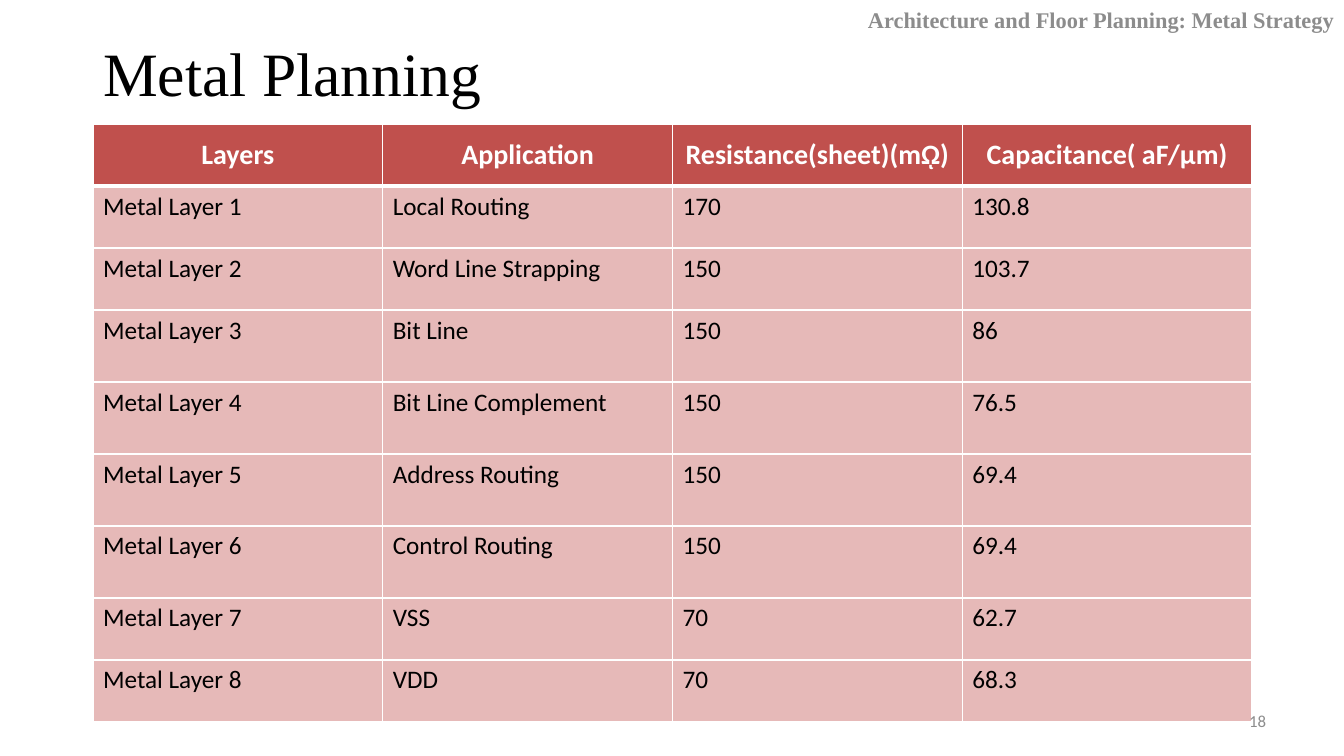
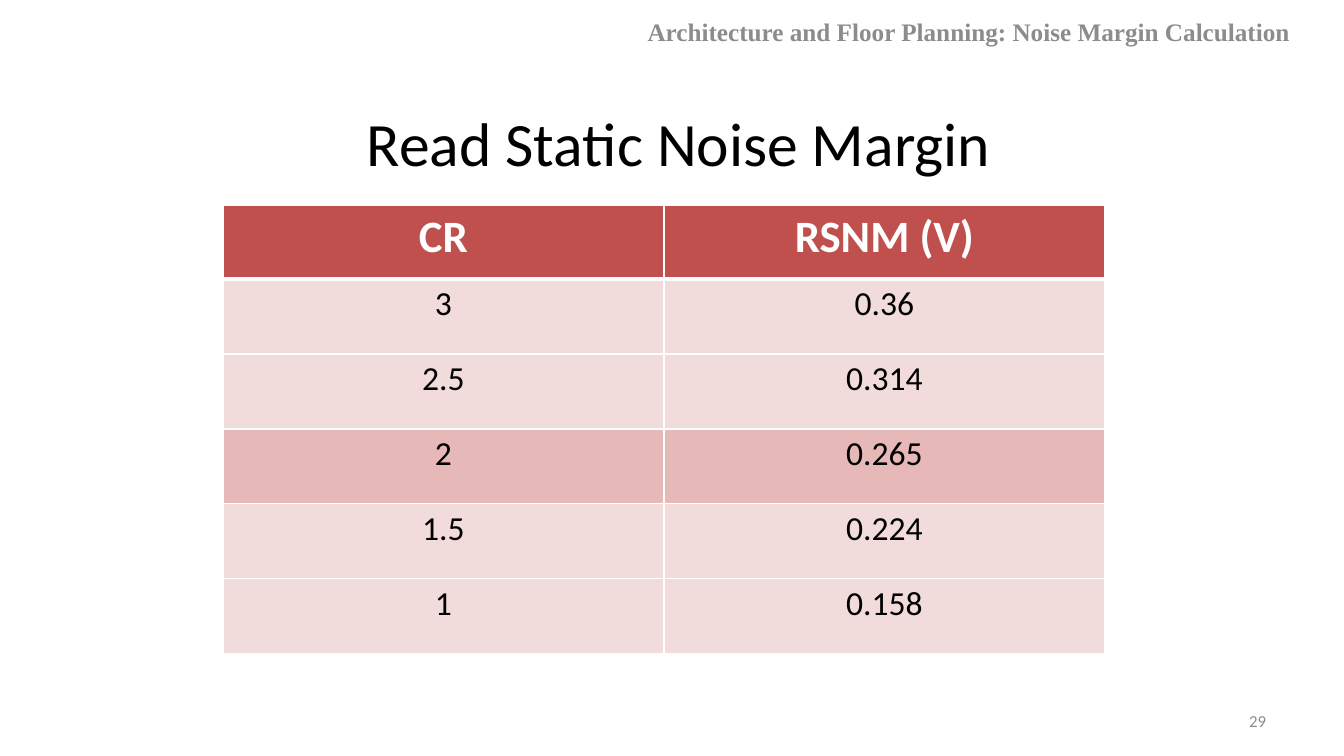
import pptx
import pptx.dml.color
import pptx.enum.text
import pptx.oxml
import pptx.oxml.ns
import pptx.util

RGBColor = pptx.dml.color.RGBColor
Align = pptx.enum.text.PP_ALIGN
Anchor = pptx.enum.text.MSO_ANCHOR

BLACK = RGBColor(0x00, 0x00, 0x00)
WHITE = RGBColor(0xFF, 0xFF, 0xFF)
GREY = RGBColor(0x8C, 0x8C, 0x8C)
RED = RGBColor(0xC0, 0x50, 0x4D)
ROSE = RGBColor(0xE6, 0xB9, 0xB8)
PALE_ROSE = RGBColor(0xF2, 0xDC, 0xDB)

SANS = "Calibri"
SERIF = "Times New Roman"
SLIDE_WIDTH, SLIDE_HEIGHT = 1344, 756
EMU_PER_PX = 12192000 / SLIDE_WIDTH
TITLE_ONLY = 5


def px(length):
    return pptx.util.Emu(round(length * EMU_PER_PX))


class Deck:
    def __init__(self):
        self.presentation = pptx.Presentation()
        self.presentation.slide_width = px(SLIDE_WIDTH)
        self.presentation.slide_height = px(SLIDE_HEIGHT)
        self.slide = None

    def add_slide(self):
        layout = self.presentation.slide_layouts[TITLE_ONLY]
        self.slide = self.presentation.slides.add_slide(layout)

    def set_text(self, frame, text, size, color, align, name=SANS, bold=False):
        paragraph = frame.paragraphs[0]
        paragraph.text = text
        paragraph.alignment = align
        style = {"size": pptx.util.Pt(size), "name": name, "bold": bold}
        for key, value in style.items():
            setattr(paragraph.font, key, value)
        paragraph.font.color.rgb = color

    def set_frame(self, frame):
        style = {
            "word_wrap": True,
            "auto_size": pptx.enum.text.MSO_AUTO_SIZE.NONE,
            "vertical_anchor": Anchor.MIDDLE,
        }
        for key, value in style.items():
            setattr(frame, key, value)

    def title(self, text, box, align, name):
        shape = self.slide.shapes.title
        for key, length in zip(("left", "top", "width", "height"), box):
            setattr(shape, key, px(length))
        self.set_frame(shape.text_frame)
        self.set_text(shape.text_frame, text, 44, BLACK, align, name)

    def label(self, text, box, size, align, name=SANS, bold=False):
        shape = self.slide.shapes.add_textbox(*map(px, box))
        self.set_frame(shape.text_frame)
        self.set_text(shape.text_frame, text, size, GREY, align, name, bold)

    def section(self, text, box, size, align):
        self.label(text, box, size, align, SERIF, True)

    def page_number(self, number):
        self.label(str(number), (963, 701, 313, 40), 12, Align.RIGHT)

    def border(self, cell, widths):
        properties = cell._tc.get_or_add_tcPr()
        namespace = pptx.oxml.ns.nsdecls("a")
        for side, points in widths.items():
            properties.append(pptx.oxml.parse_xml(
                f'<a:ln{side} {namespace} w="{pptx.util.Pt(points)}">'
                f'<a:solidFill><a:srgbClr val="{WHITE}"/></a:solidFill>'
                f'</a:ln{side}>'))

    def table(self, rows, corner, width, heights, sizes, body_align,
              header_anchor, body_fill, highlights=None):
        columns = len(rows[0])
        box = (*corner, width, sum(heights))
        table = self.slide.shapes.add_table(
            len(rows), columns, *map(px, box)).table
        table.horz_banding = False
        for column in table.columns:
            column.width = px(width / columns)
        header_size, body_size = sizes
        for index, values in enumerate(rows):
            table.rows[index].height = px(heights[index])
            header = index == 0
            fill = RED if header else (highlights or {}).get(index, body_fill)
            widths = {"L": 1, "R": 1, "T": 3 if index == 1 else 1,
                      "B": 3 if header else 1}
            for column, text in enumerate(values):
                cell = table.cell(index, column)
                self.border(cell, widths)
                cell.fill.solid()
                cell.fill.fore_color.rgb = fill
                cell.vertical_anchor = header_anchor if header else Anchor.TOP
                self.set_text(cell.text_frame, text,
                              header_size if header else body_size,
                              WHITE if header else BLACK,
                              Align.CENTER if header else body_align,
                              bold=header)


METALS = [
    ("Layers", "Application", "Resistance(sheet)(mῼ)", "Capacitance( aF/μm)"),
    ("Metal Layer 1", "Local Routing", "170", "130.8"),
    ("Metal Layer 2", "Word Line Strapping", "150", "103.7"),
    ("Metal Layer 3", "Bit Line", "150", "86"),
    ("Metal Layer 4", "Bit Line Complement", "150", "76.5"),
    ("Metal Layer 5", "Address Routing", "150", "69.4"),
    ("Metal Layer 6", "Control Routing", "150", "69.4"),
    ("Metal Layer 7", "VSS", "70", "62.7"),
    ("Metal Layer 8", "VDD", "70", "68.3"),
]

NOISE_MARGINS = [
    ("CR", "RSNM (V)"),
    ("3", "0.36"),
    ("2.5", "0.314"),
    ("2", "0.265"),
    ("1.5", "0.224"),
    ("1", "0.158"),
]


def metal_planning(deck):
    deck.add_slide()
    deck.title("Metal Planning", (93, 19, 1159, 105), Align.LEFT, SERIF)
    deck.table(METALS, (93, 124), 1159, [62] * 3 + [72] * 4 + [62] * 2,
               (20, 18), Align.LEFT, Anchor.MIDDLE, ROSE)
    deck.page_number(18)
    deck.section("Architecture and Floor Planning: Metal Strategy",
                 (792, 0, 552, 40), 16, Align.RIGHT)


def read_noise_margin(deck):
    deck.add_slide()
    deck.title("Read Static Noise Margin", (74, 79, 1210, 126),
               Align.CENTER, SANS)
    deck.table(NOISE_MARGINS, (223, 205), 882, [74] + [75] * 5,
               (32, 24), Align.CENTER, Anchor.TOP, PALE_ROSE, {3: ROSE})
    deck.section("Architecture and Floor Planning: Noise Margin Calculation ",
                 (625, 0, 694, 63), 18, Align.CENTER)
    deck.page_number(29)


def main():
    deck = Deck()
    metal_planning(deck)
    read_noise_margin(deck)
    deck.presentation.save("out.pptx")


if __name__ == "__main__":
    main()
